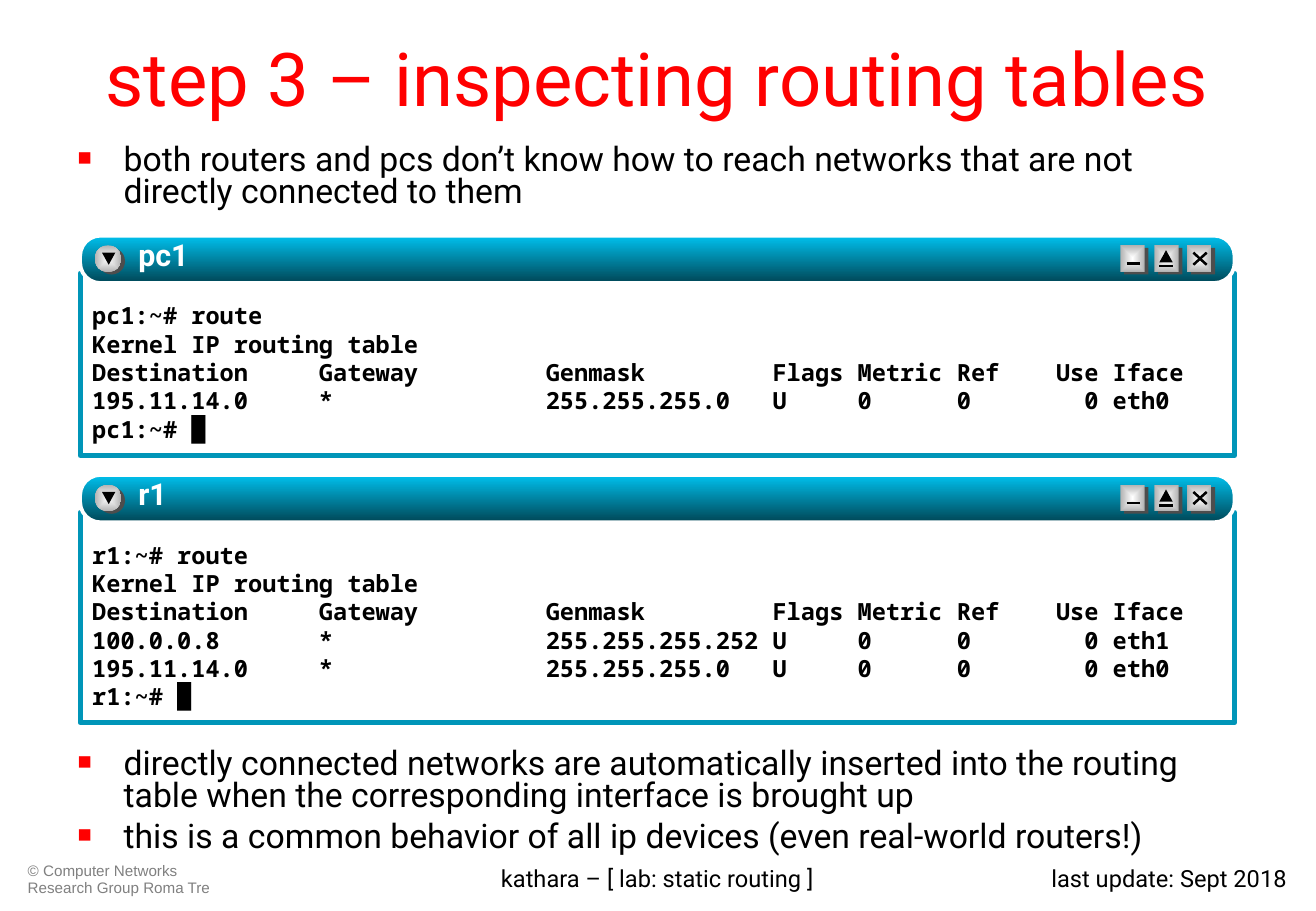
from lxml.etree import SubElement
from pptx import Presentation
from pptx.dml.color import RGBColor
from pptx.enum.shapes import MSO_CONNECTOR, MSO_SHAPE as Kind
from pptx.enum.text import MSO_ANCHOR as Anchor, PP_ALIGN as Align
from pptx.oxml import parse_xml
from pptx.oxml.ns import nsdecls, qn
from pptx.util import Inches, Pt

rgb = RGBColor.from_string


def add_part(shapes, kind, box, *colors):
    part = shapes.add_shape(kind, *map(Inches, box))
    part.shadow.inherit = False
    part.line.fill.background()
    if len(colors) == 1:
        part.fill.solid()
        part.fill.fore_color.rgb = rgb(colors[0])
    else:
        part.fill.gradient()
        part.fill.gradient_angle = 270
        for stop, color, position in zip(part.fill.gradient_stops, colors, (0, 1)):
            stop.color.rgb = rgb(color)
            stop.position = position
    return part


def add_text(shapes, box, lines, font, color, layout, margins=(0.1, 0.05), bullet=False):
    frame = shapes.add_textbox(*map(Inches, box)).text_frame
    frame.word_wrap = True
    frame.margin_left = frame.margin_right = Inches(margins[0])
    frame.margin_top = frame.margin_bottom = Inches(margins[1])
    frame.vertical_anchor = layout.get("anchor", Anchor.TOP)
    for number, line in enumerate(lines):
        paragraph = frame.paragraphs[0] if number == 0 else frame.add_paragraph()
        paragraph.alignment = layout.get("alignment", Align.LEFT)
        paragraph.line_spacing = layout.get("spacing", 1.0)
        if bullet:
            paragraph.space_before = Pt(5 if number else 0)
            properties = paragraph._p.get_or_add_pPr()
            properties.set("marL", str(Inches(0.38)))
            properties.set("indent", str(-Inches(0.38)))
            marker_color = SubElement(properties, qn("a:buClr"))
            SubElement(marker_color, qn("a:srgbClr"), val="FF0000")
            SubElement(properties, qn("a:buSzPct"), val="70000")
            SubElement(properties, qn("a:buFont"), typeface="Arial")
            SubElement(properties, qn("a:buChar"), char="■")
        run = paragraph.add_run()
        run.text = line
        for name, value in font.items():
            setattr(run.font, name, value)
        run.font.color.rgb = rgb(color)
    return frame


deck = Presentation()
deck.slide_width, deck.slide_height = Inches(10.84), Inches(7.5)
slide = deck.slides.add_slide(deck.slide_layouts[6])

title_font = {"name": "Roboto", "size": Pt(44)}
body_font = {"name": "Roboto", "size": Pt(20)}
footer_font = {"name": "Roboto", "size": Pt(14)}
credit_font = {"name": "Arial", "size": Pt(9)}
console_font = {"name": "Noto Sans Mono", "size": Pt(14), "bold": True}
host_font = {"name": "Roboto", "size": Pt(18), "bold": True}

add_text(slide.shapes, (0.13, 7.06, 1.88, 0.36), ["© Computer Networks Research Group Roma Tre"],
         credit_font, "808080", {"spacing": 0.9})
add_text(slide.shapes, (8.23, 7.06, 2.47, 0.36), ["last update: Sept 2018"],
         footer_font, "000000", {"alignment": Align.RIGHT})
add_text(slide.shapes, (2.77, 7.06, 5.29, 0.36), ["kathara – [ lab: static routing ]"],
         footer_font, "000000", {"alignment": Align.CENTER})
add_text(slide.shapes, (0.54, 0.13, 9.75, 1.01), ["step 3 – inspecting routing tables"],
         title_font, "FF0000", {"alignment": Align.CENTER, "anchor": Anchor.MIDDLE})

remarks = [
    (1.15, 0.7, ["both routers and pcs don’t know how to reach networks that are not "
                 "directly connected to them"]),
    (6.12, 0.95, ["directly connected networks are automatically inserted into the routing "
                  "table when the corresponding interface is brought up",
                  "this is a common behavior of all ip devices (even real-world routers!)"]),
]
for top, height, lines in remarks:
    add_text(slide.shapes, (0.54, top, 9.75, height), lines, body_font, "000000",
             {"spacing": 0.8}, bullet=True)

header = "Destination     Gateway         Genmask         Flags Metric Ref    Use Iface"
local_route = "195.11.14.0     *               255.255.255.0   U     0      0        0 eth0"
link_route = "100.0.0.8       *               255.255.255.252 U     0      0        0 eth1"
consoles = [
    ("pc1", 1.94, 1.5, [local_route]),
    ("r1", 3.91, 1.73, [link_route, local_route]),
]
minimize, maximize, close = 9.23, 9.51, 9.78
strokes = [
    (minimize + 0.05, 0.23, minimize + 0.16, 0.23),
    (maximize + 0.04, 0.25, maximize + 0.15, 0.25),
    (close + 0.05, 0.24, close + 0.16, 0.14),
    (close + 0.05, 0.14, close + 0.16, 0.24),
]

for host, top, height, routes in consoles:
    window = slide.shapes.add_group_shape().shapes
    border = add_part(window, Kind.RECTANGLE, (0.66, top + 0.31, 9.51, height), "FFFFFF")
    border.line.color.rgb = rgb("0095B8")
    border.line.width = Pt(3)
    prompt = f"{host}:~# "
    add_text(window, (0.68, top + 0.5, 9.5, height - 0.19),
             [prompt + "route", "Kernel IP routing table", header, *routes, prompt + "█"],
             console_font, "000000", {}, (0.08, 0.04))

    title_bar = add_part(window, Kind.ROUNDED_RECTANGLE, (0.66, top, 9.51, 0.39),
                         "00C1EE", "004656")
    title_bar.adjustments[0] = 0.43
    title_bar.line.color.rgb = rgb("FFFFFF")
    title_bar.line.width = Pt(2.25)

    buttons = [(Kind.OVAL, 0.78, 0.22)]
    buttons += [(Kind.RECTANGLE, left, 0.2) for left in (minimize, maximize, close)]
    for kind, left, width in buttons:
        add_part(window, kind, (left + 0.03, top + 0.1, width, 0.22), "4D4D4D")
        face = add_part(window, kind, (left, top + 0.08, width, 0.22), "FFFFFF", "B2B2B2")
        direction = face._element.spPr.find(".//" + qn("a:lin"))
        direction.getparent().replace(direction, parse_xml(
            f'<a:path {nsdecls("a")} path="rect">'
            '<a:fillToRect l="50000" t="50000" r="50000" b="50000"/></a:path>'))

    menu_arrow = add_part(window, Kind.ISOSCELES_TRIANGLE, (0.84, top + 0.14, 0.11, 0.1), "000000")
    menu_arrow.rotation = 180
    add_part(window, Kind.ISOSCELES_TRIANGLE, (maximize + 0.04, top + 0.12, 0.11, 0.1), "000000")
    for x1, y1, x2, y2 in strokes:
        stroke = window.add_connector(MSO_CONNECTOR.STRAIGHT, Inches(x1), Inches(top + y1),
                                      Inches(x2), Inches(top + y2))
        stroke.line.color.rgb = rgb("000000")
        stroke.line.width = Pt(1.5)
        SubElement(stroke._element.spPr, qn("a:effectLst"))

    label = add_text(window, (1.14, top, 7.24, 0.39), [host], host_font, "FFFFFF", {}, (0, 0))
    label_fill = label.paragraphs[0].runs[0].font._element.find(qn("a:solidFill"))
    label_fill.addnext(parse_xml(
        f'<a:effectLst {nsdecls("a")}><a:outerShdw dist="17961" dir="2700000">'
        '<a:srgbClr val="000000"/></a:outerShdw></a:effectLst>'))

deck.save("out.pptx")
